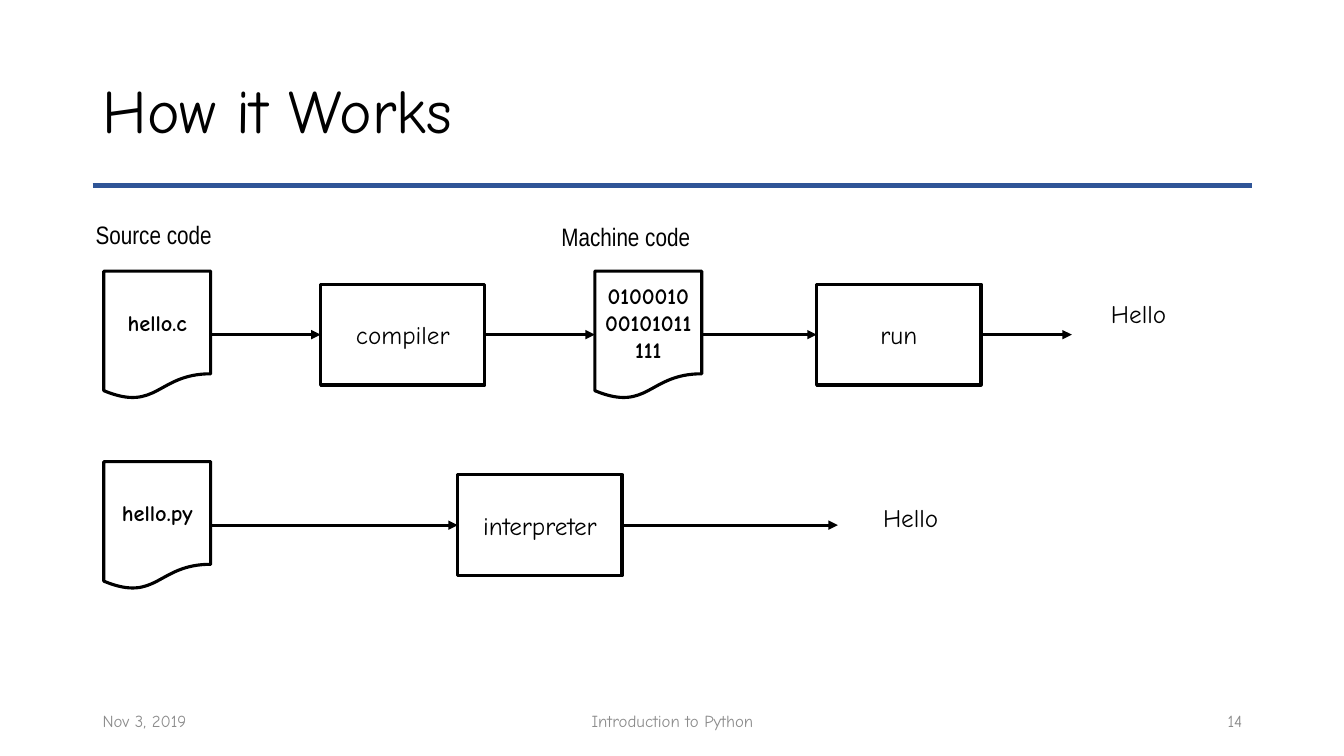
from dataclasses import dataclass
from itertools import pairwise
from typing import Any, NamedTuple

from lxml.etree import SubElement
from pptx import Presentation
from pptx.dml.color import RGBColor
from pptx.enum.shapes import MSO_CONNECTOR, MSO_SHAPE
from pptx.enum.text import MSO_ANCHOR, PP_ALIGN
from pptx.oxml.ns import qn
from pptx.util import Pt

PX = 9144


@dataclass(frozen=True)
class Theme:
    ink: RGBColor = RGBColor(0x00, 0x00, 0x00)
    paper: RGBColor = RGBColor(0xFF, 0xFF, 0xFF)
    rule: RGBColor = RGBColor(0x2F, 0x55, 0x97)
    muted: RGBColor = RGBColor(0x8C, 0x8C, 0x8C)
    hand: str = "Comic Neue"
    narrow: str = "Arial Narrow"
    title: Pt = Pt(44)
    body: Pt = Pt(18)
    code: Pt = Pt(16)
    footer: Pt = Pt(12)
    outline: Pt = Pt(2.25)
    rule_width: Pt = Pt(3)


THEME = Theme()


class Box(NamedTuple):
    left: int
    top: int
    width: int
    height: int


class Label(NamedTuple):
    text: str
    box: Box
    font: dict[str, Any]
    align: PP_ALIGN = PP_ALIGN.LEFT
    anchor: MSO_ANCHOR = MSO_ANCHOR.TOP
    spacing: float = 1.0


class Kind(NamedTuple):
    shape: MSO_SHAPE
    width: int
    height: int
    font: dict[str, Any]


class Node(NamedTuple):
    kind: Kind
    text: str
    left: int


class Flow(NamedTuple):
    middle: int
    nodes: list[Node]
    end: int


BODY = {"name": THEME.hand, "size": THEME.body}
CODE = {"name": THEME.hand, "size": THEME.code, "bold": True}
TITLE = {"name": THEME.hand, "size": THEME.title}
FOOTER = {"name": THEME.hand, "size": THEME.footer}
CAPTION = {"name": THEME.narrow, "size": THEME.body}

DOCUMENT = Kind(MSO_SHAPE.FLOWCHART_DOCUMENT, 106, 127, CODE)
PROCESS = Kind(MSO_SHAPE.FLOWCHART_PROCESS, 163, 100, BODY)

FLOWS = [
    Flow(332, [
        Node(DOCUMENT, "hello.c", 103),
        Node(PROCESS, "compiler", 318),
        Node(DOCUMENT, "010001000101011111", 590),
        Node(PROCESS, "run", 810),
    ], 1063),
    Flow(521, [
        Node(DOCUMENT, "hello.py", 103),
        Node(PROCESS, "interpreter", 454),
    ], 831),
]

LABELS = [
    Label("How it Works", Box(92, 40, 1150, 145), TITLE,
          anchor=MSO_ANCHOR.MIDDLE, spacing=0.9),
    Label("Source code", Box(85, 213, 192, 40), CAPTION),
    Label("Machine code", Box(547, 215, 192, 40), CAPTION),
    Label("Hello", Box(1092, 291, 106, 40), BODY),
    Label("Hello", Box(866, 493, 106, 40), BODY),
]

FOOTERS = [
    Label("Nov 3, 2019", Box(92, 695, 300, 40), FOOTER,
          PP_ALIGN.LEFT, MSO_ANCHOR.MIDDLE),
    Label("Introduction to Python", Box(442, 695, 450, 40), FOOTER,
          PP_ALIGN.CENTER, MSO_ANCHOR.MIDDLE),
    Label("14", Box(942, 695, 300, 40), FOOTER,
          PP_ALIGN.RIGHT, MSO_ANCHOR.MIDDLE),
]


def emu(lengths: tuple[int, ...]) -> list[int]:
    return [length * PX for length in lengths]


def write(s: Any, label: Label, color: RGBColor) -> None:
    tf = s.text_frame
    tf.word_wrap = True
    tf.vertical_anchor = label.anchor
    p = tf.paragraphs[0]
    p.alignment = label.align
    p.line_spacing = label.spacing
    r = p.add_run()
    r.text = label.text
    for name, value in label.font.items():
        setattr(r.font, name, value)
    r.font.color.rgb = color


def add_label(shapes: Any, label: Label, color: RGBColor) -> None:
    write(shapes.add_textbox(*emu(label.box)), label, color)


def add_line(shapes: Any, left: int, right: int, y: int,
             color: RGBColor, width: Pt, arrow: bool) -> None:
    s = shapes.add_connector(MSO_CONNECTOR.STRAIGHT,
                             *emu((left, y, right, y)))
    s.line.color.rgb = color
    s.line.width = width
    if arrow:
        SubElement(s.line._get_or_add_ln(), qn("a:tailEnd"), type="triangle")
    SubElement(s._element.spPr, qn("a:effectLst"))


def add_node(shapes: Any, node: Node, middle: int) -> None:
    kind = node.kind
    box = Box(node.left, middle - kind.height // 2, kind.width, kind.height)
    s = shapes.add_shape(kind.shape, *emu(box))
    s.shadow.inherit = False
    s.fill.solid()
    s.fill.fore_color.rgb = THEME.paper
    s.line.color.rgb = THEME.ink
    s.line.width = THEME.outline
    write(s, Label(node.text, box, kind.font, PP_ALIGN.CENTER,
                   MSO_ANCHOR.MIDDLE), THEME.ink)


def add_flow(shapes: Any, flow: Flow) -> None:
    for node in flow.nodes:
        add_node(shapes, node, flow.middle)
    rights = [node.left + node.kind.width for node in flow.nodes]
    lefts = [b.left for a, b in pairwise(flow.nodes)] + [flow.end]
    for start, end in zip(rights, lefts):
        add_line(shapes, start, end, flow.middle,
                 THEME.ink, THEME.outline, True)


def main() -> None:
    prs = Presentation()
    prs.slide_width, prs.slide_height = emu((1333, 750))
    shapes = prs.slides.add_slide(prs.slide_layouts[6]).shapes
    add_line(shapes, 92, 1242, 184, THEME.rule, THEME.rule_width, False)
    for label in LABELS:
        add_label(shapes, label, THEME.ink)
    for label in FOOTERS:
        add_label(shapes, label, THEME.muted)
    for flow in FLOWS:
        add_flow(shapes, flow)
    prs.save("out.pptx")


if __name__ == "__main__":
    main()
